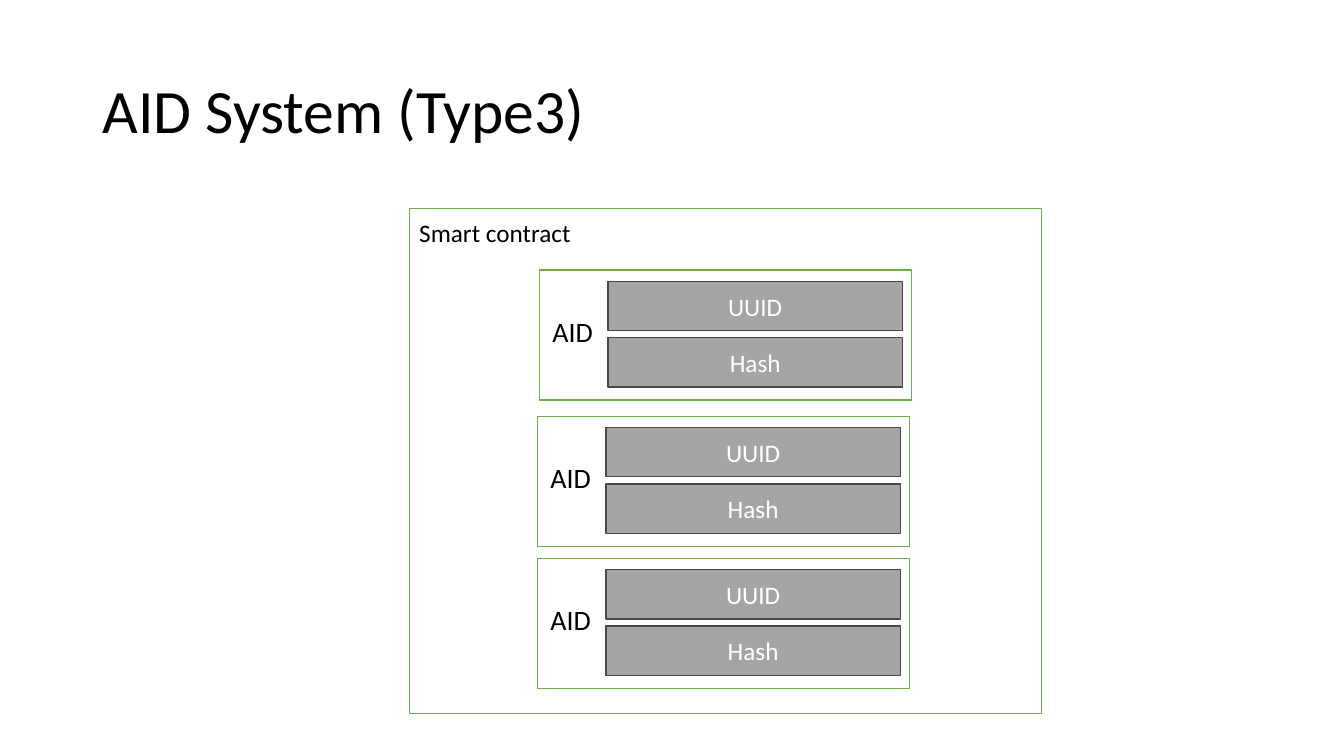
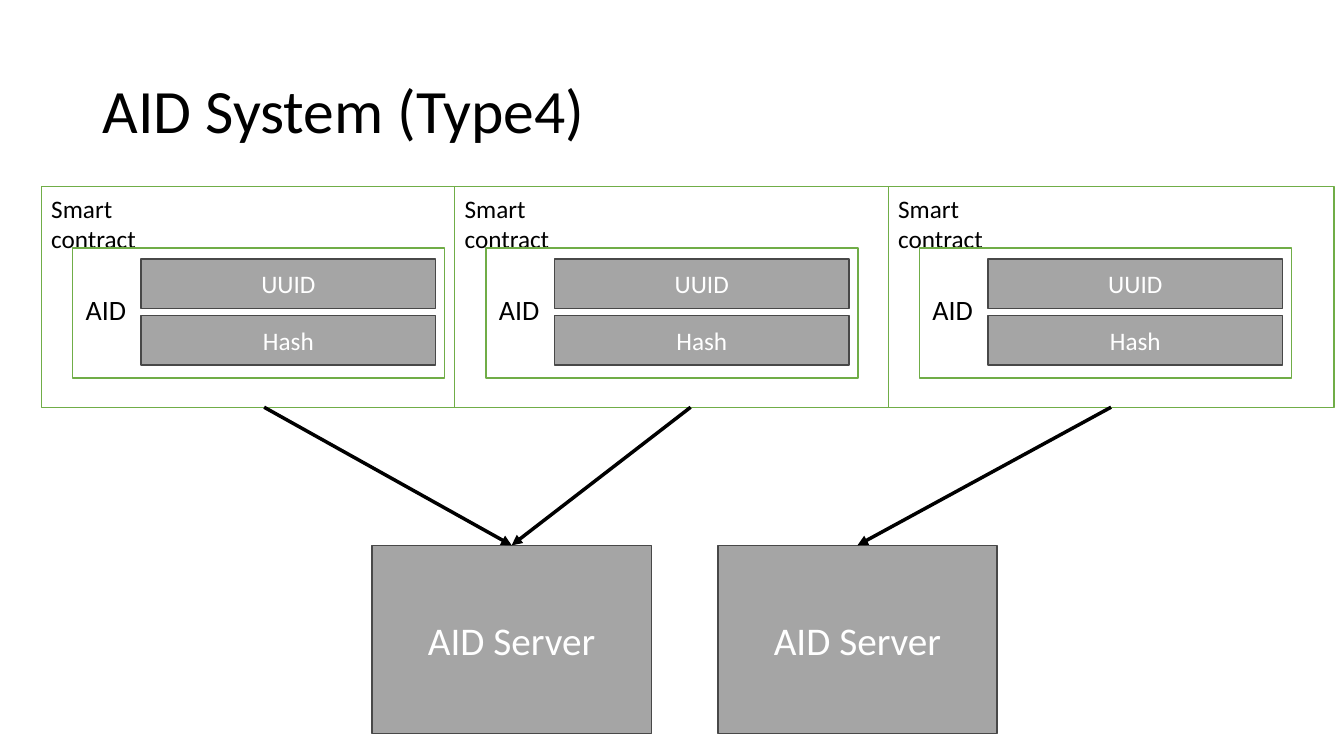
from pptx import Presentation
from pptx.dml.color import RGBColor as RGB
from pptx.enum.shapes import MSO_CONNECTOR as LINE, MSO_SHAPE as SHAPE
from pptx.enum.text import MSO_ANCHOR as ANCHOR, PP_ALIGN as ALIGN
from pptx.oxml.ns import qn
from pptx.util import Inches, Pt
from lxml.etree import SubElement

COLORS = {
    "white": "FFFFFF",
    "black": "000000",
    "green": "70AD47",
    "gray": "A5A5A5",
    "edge": "484848",
}
FONT = "Calibri"


def color(name):
    """Look up a palette color."""
    return RGB.from_string(COLORS[name])


def write(shape, text, size=18, ink="black", align=ALIGN.LEFT,
          anchor=ANCHOR.TOP, space=1.0):
    """Put formatted text into a shape."""
    frame = shape.text_frame
    frame.word_wrap = True
    frame.vertical_anchor = anchor
    para = frame.paragraphs[0]
    para.alignment = align
    para.line_spacing = space
    run = para.add_run()
    run.text = text
    run.font.name = FONT
    run.font.size = Pt(size)
    run.font.color.rgb = color(ink)


def label(shapes, text, x, y, w, h, **style):
    """Add a text box."""
    write(shapes.add_textbox(Inches(x), Inches(y), Inches(w), Inches(h)),
          text, **style)


def box(shapes, x, y, w, h, fill="white", edge="green"):
    """Add a plain outlined rectangle."""
    rect = shapes.add_shape(SHAPE.RECTANGLE, Inches(x), Inches(y),
                            Inches(w), Inches(h))
    rect.shadow.inherit = False
    rect.fill.solid()
    rect.fill.fore_color.rgb = color(fill)
    rect.line.color.rgb = color(edge)
    rect.line.width = Pt(1)
    return rect


def block(shapes, text, x, y, w, h, size=18):
    """Add a gray box with a centered caption."""
    rect = box(shapes, x, y, w, h, "gray", "edge")
    write(rect, text, size=size, ink="white", align=ALIGN.CENTER,
          anchor=ANCHOR.MIDDLE)
    return rect


def card(shapes, x, y):
    """Add an AID card with its two fields."""
    box(shapes, x, y, 3.69, 1.29)
    label(shapes, "AID", x + 0.03, y + 0.39, 0.65, 0.44, size=20)
    for row, name in enumerate(("UUID", "Hash")):
        block(shapes, name, x + 0.68, y + 0.11 + 0.56 * row, 2.92, 0.49)


def contract(slide, x, y, w, h, cards, top=0.02, wide=1.21):
    """Add a grouped smart contract, cards placed by offset."""
    shapes = slide.shapes.add_group_shape().shapes
    frame = box(shapes, x, y, w, h)
    label(shapes, "Smart contract", x, y + top, wide, 0.4)
    for dx, dy in cards:
        card(shapes, x + dx, y + dy)
    return frame


def arrow(slide, x, y, goal, start=None):
    """Draw an arrow to the top of a box."""
    link = slide.shapes.add_connector(LINE.STRAIGHT, Inches(x), Inches(y),
                                      goal.left, goal.top)
    if start is not None:
        link.begin_connect(start, 2)
    link.end_connect(goal, 0)
    link.line.color.rgb = color("black")
    link.line.width = Pt(2.5)
    SubElement(link.line._get_or_add_ln(), qn("a:tailEnd"), type="triangle")
    SubElement(link._element.spPr, qn("a:effectLst"))


def page(deck, title):
    """Add a blank slide with the shared title."""
    slide = deck.slides.add_slide(deck.slide_layouts[6])
    label(slide.shapes, title, 0.92, 0.4, 11.5, 1.45, size=44,
          anchor=ANCHOR.MIDDLE, space=0.9)
    return slide


def stack(deck):
    """Build the slide with one contract holding three cards."""
    slide = page(deck, "AID System (Type3)")
    cards = ((1.29, 0.61), (1.27, 2.06), (1.27, 3.47))
    contract(slide, 4.06, 2.07, 6.27, 5.01, cards, top=0.04, wide=2)


def network(deck):
    """Build the slide with three contracts and two servers."""
    slide = page(deck, "AID System (Type4)")
    left, mid, right = [
        contract(slide, x, 1.85, 4.42, 2.19, ((0.31, 0.61),))
        for x in (0.41, 4.51, 8.81)
    ]
    first, second = [
        block(slide.shapes, "AID Server", x, 5.41, 2.77, 1.87, size=28)
        for x in (3.69, 7.12)
    ]
    arrow(slide, 2.62, 4.04, first, left)
    arrow(slide, 6.85, 4.04, first)
    arrow(slide, 11.02, 4.04, second, right)


def main():
    """Build and save the deck."""
    deck = Presentation()
    deck.slide_width = Inches(13.33)
    deck.slide_height = Inches(7.5)
    stack(deck)
    network(deck)
    deck.save("out.pptx")


if __name__ == "__main__":
    main()
